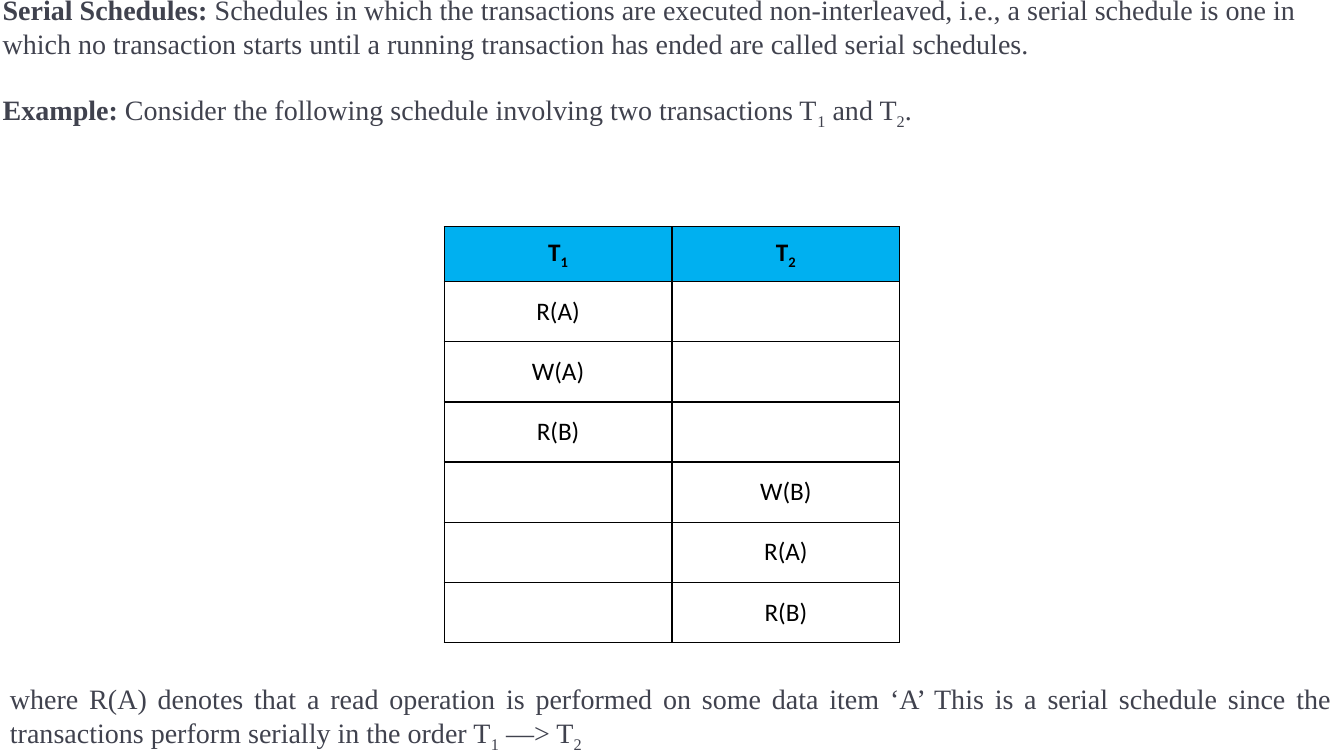
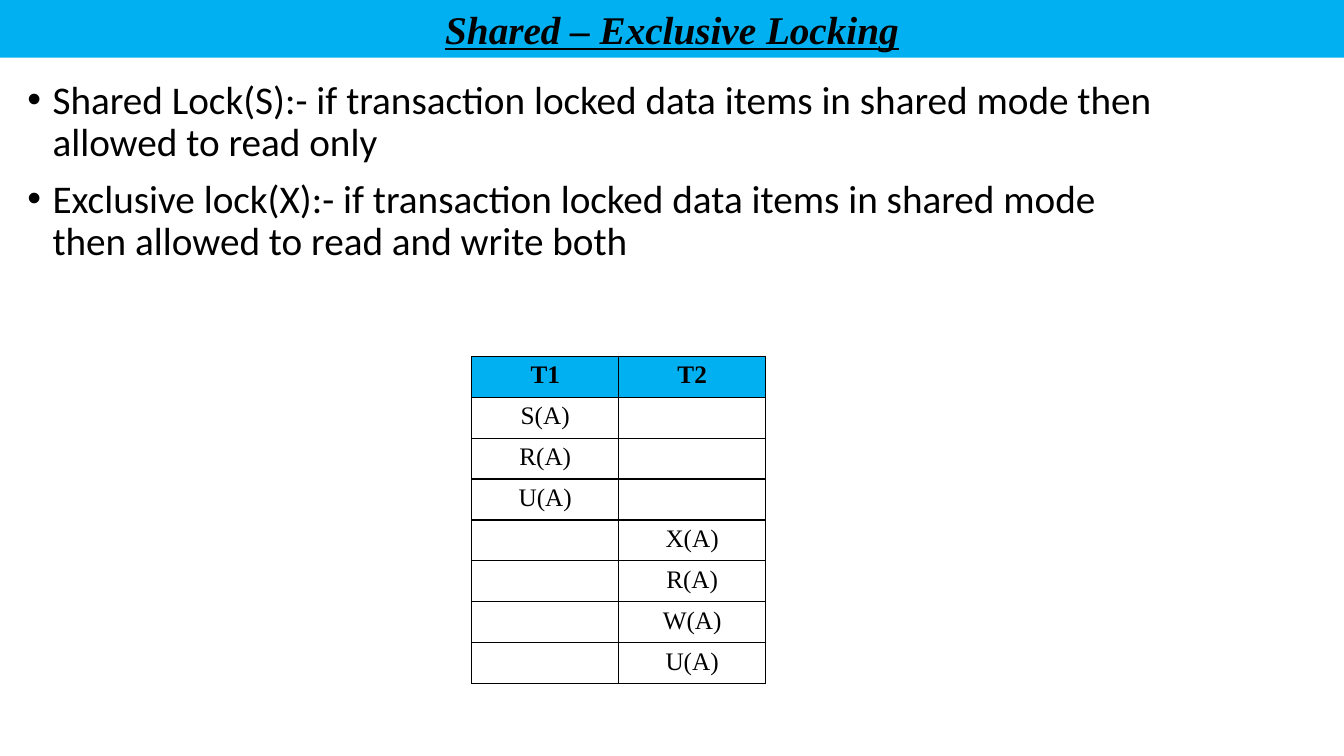
"""Build two slides on serial schedules and shared-exclusive locking."""
from dataclasses import dataclass

from lxml.etree import SubElement
from pptx import Presentation
from pptx.dml.color import RGBColor
from pptx.enum.shapes import MSO_SHAPE
from pptx.enum.text import MSO_ANCHOR, PP_ALIGN
from pptx.oxml import parse_xml
from pptx.oxml.ns import nsdecls, qn
from pptx.util import Inches, Pt


@dataclass(frozen=True)
class Theme:
    accent: RGBColor = RGBColor(0x00, 0xB0, 0xF0)
    paper: RGBColor = RGBColor(0xFF, 0xFF, 0xFF)
    ink: RGBColor = RGBColor(0x00, 0x00, 0x00)
    prose: RGBColor = RGBColor(0x40, 0x42, 0x4E)
    serif: str = "Times New Roman"
    sans: str = "Calibri"
    large: Pt = Pt(28)
    medium: Pt = Pt(20)
    small: Pt = Pt(18)


theme = Theme()
deck = Presentation()
deck.slide_width, deck.slide_height = Inches(13.33), Inches(7.5)
column, row = deck.slide_width / 100, deck.slide_height / 100
blank = deck.slide_layouts[6]


def write(paragraph, pieces, font, size, color):
    for text, style in pieces:
        run = paragraph.add_run()
        run.text = text
        run.font.name, run.font.size = font, size
        run.font.color.rgb = color
        run.font.bold = "bold" in style
        if "sub" in style:
            run.font._element.set("baseline", "-25000")


def add_schedule(slide, left, top, width, header_height, step_height, steps, font,
                 padding, anchor):
    height = header_height + step_height * (len(steps) - 1)
    schedule = slide.shapes.add_table(
        len(steps), 2, int(left * column), int(top * row),
        int(width * column), int(height * row)).table
    schedule.first_row = schedule.horz_banding = False
    for index, step in enumerate(steps):
        header = index == 0
        schedule.rows[index].height = int((header_height if header else step_height) * row)
        for cell, pieces in zip(schedule.rows[index].cells, step):
            cell.margin_top = cell.margin_bottom = padding[0 if header else 1]
            cell.vertical_anchor = anchor
            for side in ("lnL", "lnR", "lnT", "lnB"):
                cell._tc.get_or_add_tcPr().append(parse_xml(
                    f'<a:{side} {nsdecls("a")} w="12700"><a:solidFill>'
                    f'<a:srgbClr val="{theme.ink}"/></a:solidFill></a:{side}>'))
            if header:
                cell.fill.solid()
                cell.fill.fore_color.rgb = theme.accent
            else:
                cell.fill.background()
            paragraph = cell.text_frame.paragraphs[0]
            paragraph.alignment = PP_ALIGN.CENTER
            write(paragraph, pieces, font, theme.small, theme.ink)


serial = deck.slides.add_slide(blank)
serial_steps = [([("T", "bold"), ("1", "bold sub")], [("T", "bold"), ("2", "bold sub")])]
serial_steps += [([(step, "")], []) for step in ("R(A)", "W(A)", "R(B)")]
serial_steps += [([], [(step, "")]) for step in ("W(B)", "R(A)", "R(B)")]
add_schedule(serial, 33.05, 30, 33.9, 7.25, 7.96, serial_steps, theme.sans,
             (Inches(0.1), Inches(0.14)), MSO_ANCHOR.MIDDLE)

definition_panel = serial.shapes.add_shape(
    MSO_SHAPE.RECTANGLE, int(0.2 * column), int(-0.95 * row), int(99.8 * column), int(22 * row))
title_band_slide = deck.slides.add_slide(blank)
locking = title_band_slide

definition = definition_panel.text_frame
definition.word_wrap = True
definition.vertical_anchor = MSO_ANCHOR.TOP
definition.margin_left = definition.margin_right = 0
definition.margin_top = definition.margin_bottom = 0
definition.paragraphs[0].alignment = PP_ALIGN.LEFT
write(definition.paragraphs[0], [
    ("Serial Schedules: ", "bold"),
    ("Schedules in which the transactions are executed non-interleaved, i.e., a serial "
     "schedule is one in which no transaction starts until a running transaction has "
     "ended are called serial schedules.", ""),
], theme.serif, theme.medium, theme.prose)
example = definition.add_paragraph()
example.alignment = PP_ALIGN.LEFT
example.space_before = Pt(23.5)
write(example, [
    ("Example:", "bold"),
    (" Consider the following schedule involving two transactions T", ""),
    ("1", "sub"), (" and T", ""), ("2", "sub"), (".", ""),
], theme.serif, theme.medium, theme.prose)

explanation = serial.shapes.add_textbox(
    0, int(89.5 * row), int(99.85 * column), int(10.3 * row)).text_frame
explanation.word_wrap = True
explanation.paragraphs[0].alignment = PP_ALIGN.JUSTIFY
write(explanation.paragraphs[0], [
    ("where R(A) denotes that a read operation is performed on some data item ‘A’ This is "
     "a serial schedule since the transactions perform serially in the order T", ""),
    ("1", "sub"), (" —> T", ""), ("2", "sub"),
], theme.serif, theme.medium, theme.prose)

lock_modes = locking.shapes.add_textbox(
    int(1.3 * column), int(10 * row), int(86.3 * column), int(63.5 * row)).text_frame
lock_modes.word_wrap = True
lock_modes.text = (
    "Shared Lock(S):- if transaction locked data items in shared mode then allowed to read only\n"
    "Exclusive lock(X):- if transaction locked data items in shared mode then allowed to read "
    "and write both")
for index, mode in enumerate(lock_modes.paragraphs):
    properties = mode._p.get_or_add_pPr()
    properties.set("marL", str(Inches(0.25)))
    properties.set("indent", str(-Inches(0.25)))
    SubElement(properties, qn("a:buFont")).set("typeface", "Arial")
    SubElement(properties, qn("a:buChar")).set("char", "•")
    mode.line_spacing = 0.9
    mode.space_before = Pt(10 if index else 0)
    font = mode.runs[0].font
    font.name, font.size = theme.sans, theme.large
    font.color.rgb = theme.ink

lock_steps = [([("T1", "bold")], [("T2", "bold")])]
lock_steps += [([(step, "")], []) for step in ("S(A)", "R(A)", "U(A)")]
lock_steps += [([], [(step, "")]) for step in ("X(A)", "R(A)", "W(A)", "U(A)")]
add_schedule(locking, 35.1, 47.15, 21.87, 5.41, 5.41, lock_steps, theme.serif,
             (Inches(0.05), Inches(0.05)), MSO_ANCHOR.TOP)

title_band = locking.shapes.add_shape(
    MSO_SHAPE.RECTANGLE, 0, 0, deck.slide_width, int(7.63 * row))
title = title_band.text_frame.paragraphs[0]
title.alignment = PP_ALIGN.CENTER
write(title, [("Shared – Exclusive Locking", "bold")], theme.serif, theme.large, theme.ink)
title.runs[0].font.italic = title.runs[0].font.underline = True

for panel, color in ((definition_panel, theme.paper), (title_band, theme.accent)):
    panel.shadow.inherit = False
    panel.fill.solid()
    panel.fill.fore_color.rgb = color
    panel.line.fill.background()

deck.save("out.pptx")
